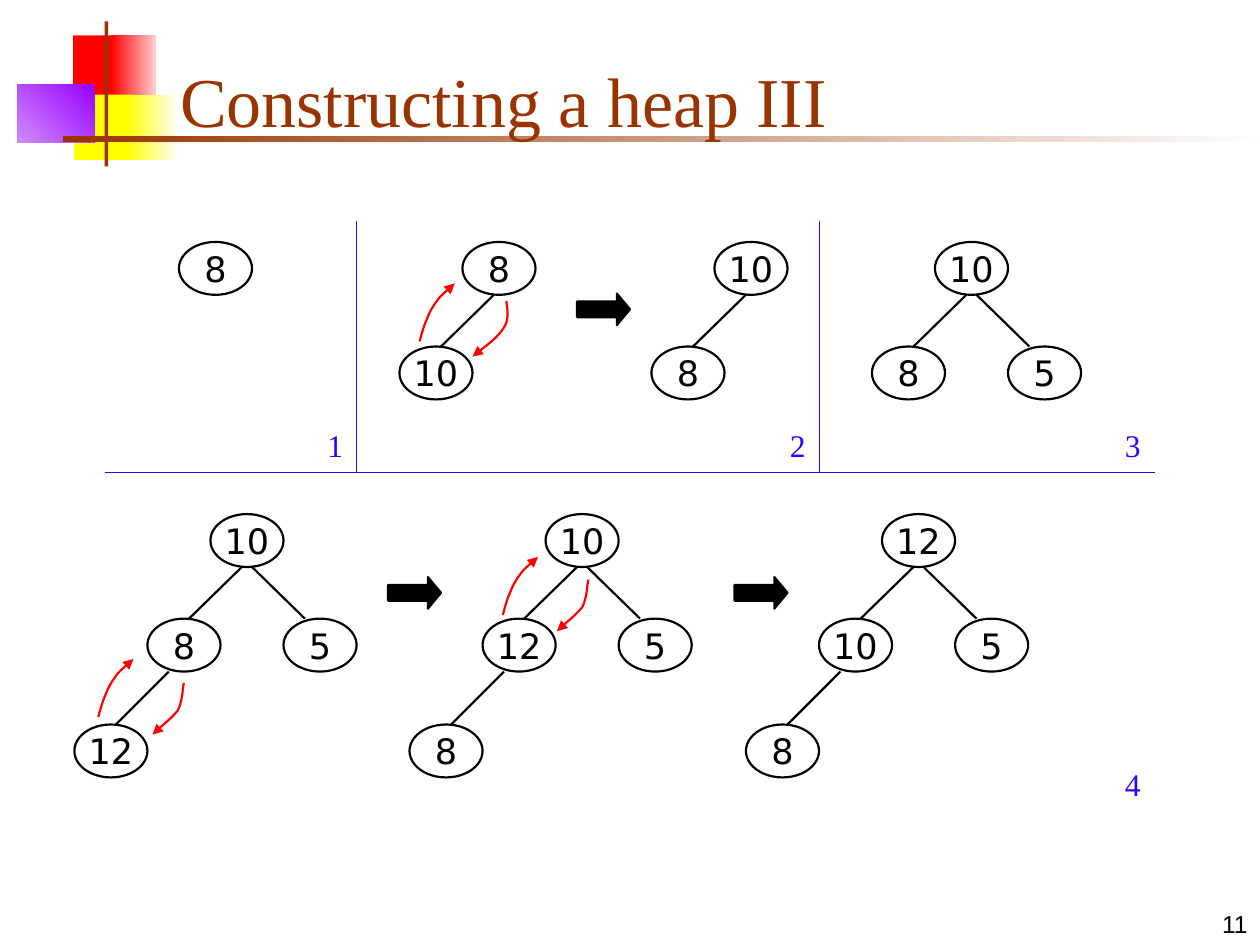
from dataclasses import dataclass

from lxml import etree
from pptx import Presentation
from pptx.dml.color import RGBColor
from pptx.enum.shapes import MSO_CONNECTOR, MSO_SHAPE
from pptx.enum.text import MSO_ANCHOR, MSO_AUTO_SIZE, PP_ALIGN
from pptx.oxml.ns import qn
from pptx.util import Inches, Pt

RECTANGLE = MSO_SHAPE.RECTANGLE
OVAL = MSO_SHAPE.OVAL
RIGHT_ARROW = MSO_SHAPE.RIGHT_ARROW
STRAIGHT = MSO_CONNECTOR.STRAIGHT
TOP, MIDDLE, BOTTOM = MSO_ANCHOR.TOP, MSO_ANCHOR.MIDDLE, MSO_ANCHOR.BOTTOM
LEFT, CENTER, RIGHT = PP_ALIGN.LEFT, PP_ALIGN.CENTER, PP_ALIGN.RIGHT
NO_FIT = MSO_AUTO_SIZE.NONE

BLACK, RED, BLUE, BROWN = "000000", "FF0000", "3300FF", "993300"
SERIF = "Times New Roman"
NODE_WIDTH, NODE_HEIGHT = 0.58, 0.42
NODE_OFFSETS = [(0, 0), (-0.5, 0.83), (0.58, 0.83), (-1.08, 1.67)]
EDGE_OFFSETS = [
    ((0.25, 0.42), (-0.17, 0.83)),
    ((0.33, 0.42), (0.75, 0.83)),
    ((-0.33, 1.25), (-0.75, 1.67)),
]
RISE = [(0, 0), (0.01, -0.03), (0.03, -0.12), (0.06, -0.18), (0.08, -0.24),
        (0.12, -0.3), (0.16, -0.35), (0.2, -0.39), (0.26, -0.44), (0.28, -0.46)]
FALL = [(0, 0), (-0.01, 0.03), (-0.01, 0.15), (-0.05, 0.22),
        (-0.1, 0.28), (-0.21, 0.37), (-0.25, 0.41)]
WIDE_FALL = [(0, 0), (0, 0.03), (0.03, 0.14), (-0.02, 0.21),
             (-0.07, 0.29), (-0.22, 0.4), (-0.27, 0.44)]


@dataclass
class Block:
    left: float
    top: float
    width: float
    height: float
    colors: tuple[str, ...]
    angle: int = 180


@dataclass
class Tree:
    left: float
    top: float
    values: tuple[int, ...]


@dataclass
class Curve:
    left: float
    top: float
    points: list[tuple[float, float]]


@dataclass
class Label:
    text: str
    left: float
    top: float


BLOCKS = [
    Block(0.58, 0.28, 0.35, 0.52, (RED,)),
    Block(0.88, 0.28, 0.36, 0.52, ("FED0D0", RED)),
    Block(0.59, 0.75, 0.46, 0.52, ("FFFF00",)),
    Block(1, 0.75, 0.4, 0.52, ("FEFEEF", "FFFF00")),
    Block(0.14, 0.67, 0.61, 0.46, ("9900FF", "CF8AFE"), 225),
    Block(0.83, 0.17, 0.03, 1.15, (BROWN,)),
    Block(0.5, 1.08, 9.5, 0.05, ("FEFEFE", BROWN)),
]
TREES = [
    Tree(1.42, 1.92, (8,)),
    Tree(3.67, 1.92, (8, 10)),
    Tree(5.67, 1.92, (10, 8)),
    Tree(7.42, 1.92, (10, 8, 5)),
    Tree(1.67, 4.08, (10, 8, 5, 12)),
    Tree(4.33, 4.08, (10, 12, 5, 8)),
    Tree(7, 4.08, (12, 10, 5, 8)),
]
CURVES = [
    Curve(3.33, 2.71, RISE), Curve(4.02, 2.39, WIDE_FALL),
    Curve(0.78, 5.69, RISE), Curve(1.46, 5.42, FALL),
    Curve(3.99, 4.88, RISE), Curve(4.67, 4.6, FALL),
]
LABELS = [Label("1", 2.5, 3.33), Label("2", 6.17, 3.33),
          Label("3", 8.83, 3.33), Label("4", 8.83, 6.02)]
DIVIDERS = [((0.83, 3.75), (9.17, 3.75)), ((2.83, 1.75), (2.83, 3.75)),
            ((6.5, 1.75), (6.5, 3.75))]
STEP_ARROWS = [(4.58, 2.33), (3.08, 4.58), (5.83, 4.58)]


def color(value: str) -> RGBColor:
    return RGBColor.from_string(value)


def set_line(shape, value: str, width: float) -> None:
    shape.line.color.rgb = color(value)
    shape.line.width = Pt(width)


def write(box, text: str, size: float, font: str, value: str,
          align=LEFT, anchor=TOP, wrap: bool = True):
    frame = box.text_frame
    frame.auto_size = NO_FIT
    frame.word_wrap = wrap
    frame.vertical_anchor = anchor
    para = frame.paragraphs[0]
    para.alignment = align
    span = para.add_run()
    span.text = text
    span.font.size = Pt(size)
    span.font.name = font
    span.font.color.rgb = color(value)
    return para


def add_figure(page, kind, left: float, top: float, width: float, height: float):
    shape = page.shapes.add_shape(kind, Inches(left), Inches(top), Inches(width), Inches(height))
    shape.shadow.inherit = False
    return shape


def add_textbox(page, left: float, top: float, width: float, height: float):
    return page.shapes.add_textbox(Inches(left), Inches(top), Inches(width), Inches(height))


def draw_block(page, block: Block) -> None:
    shape = add_figure(page, RECTANGLE, block.left, block.top, block.width, block.height)
    shape.line.fill.background()
    if len(block.colors) == 1:
        shape.fill.solid()
        shape.fill.fore_color.rgb = color(block.colors[0])
        return
    shape.fill.gradient()
    shape.fill.gradient_angle = block.angle
    for stop, value in zip(shape.fill.gradient_stops, block.colors):
        stop.color.rgb = color(value)


def draw_line(page, start, end, value: str, width: float) -> None:
    line = page.shapes.add_connector(STRAIGHT, *map(Inches, (*start, *end)))
    set_line(line, value, width)
    etree.SubElement(line._element.spPr, qn("a:effectLst"))


def draw_tree(page, tree: Tree) -> None:
    for value, (across, down) in zip(tree.values, NODE_OFFSETS):
        node = add_figure(page, OVAL, tree.left + across, tree.top + down, NODE_WIDTH, NODE_HEIGHT)
        node.fill.background()
        set_line(node, BLACK, 1.25)
        write(node, str(value), 20, "DejaVu Sans", BLACK, CENTER, MIDDLE, wrap=False)
    for edge in EDGE_OFFSETS[:len(tree.values) - 1]:
        start, end = [(tree.left + across, tree.top + down) for across, down in edge]
        draw_line(page, start, end, BLACK, 1.25)


def draw_curve(page, curve: Curve) -> None:
    points = [(Inches(curve.left + across), Inches(curve.top + down))
              for across, down in curve.points]
    builder = page.shapes.build_freeform(*points[0])
    builder.add_line_segments(points[1:], close=False)
    shape = builder.convert_to_shape()
    shape.shadow.inherit = False
    shape.fill.background()
    set_line(shape, RED, 1.25)
    etree.SubElement(shape.line._get_or_add_ln(), qn("a:tailEnd"), type="triangle")
    outline = next(shape._element.iter(qn("a:path")))
    segments = outline.findall(qn("a:lnTo"))
    for first in range(0, len(segments), 3):
        bezier = etree.SubElement(outline, qn("a:cubicBezTo"))
        for segment in segments[first:first + 3]:
            bezier.append(segment[0])
            outline.remove(segment)


def draw_step_arrow(page, left: float, top: float) -> None:
    arrow = add_figure(page, RIGHT_ARROW, left, top, 0.42, 0.25)
    arrow.adjustments[1] = 0.417
    arrow.fill.solid()
    arrow.fill.fore_color.rgb = color(BLACK)
    set_line(arrow, BLACK, 1.25)


def main() -> None:
    deck = Presentation()
    deck.slide_width, deck.slide_height = Inches(10), Inches(7.5)
    page = deck.slides.add_slide(deck.slide_layouts[5])
    for block in BLOCKS:
        draw_block(page, block)
    title = page.shapes.title
    title.left, title.top, title.width, title.height = map(Inches, (1.33, 0.25, 8.52, 0.92))
    write(title, "Constructing a heap III", 40, SERIF, BROWN, anchor=BOTTOM)
    page.shapes._spTree.append(title._element)
    for start, end in DIVIDERS:
        draw_line(page, start, end, BLUE, 0.5)
    for tree in TREES:
        draw_tree(page, tree)
    for curve in CURVES:
        draw_curve(page, curve)
    for left, top in STEP_ARROWS:
        draw_step_arrow(page, left, top)
    for label in LABELS:
        box = add_textbox(page, label.left, label.top, 0.42, 0.4)
        write(box, label.text, 18, SERIF, BLUE).space_before = Pt(11.2)
    number = add_textbox(page, 7.92, 7, 2.08, 0.5)
    write(number, "11", 14, "Arial", BLACK, RIGHT, BOTTOM)
    deck.save("out.pptx")


if __name__ == "__main__":
    main()
